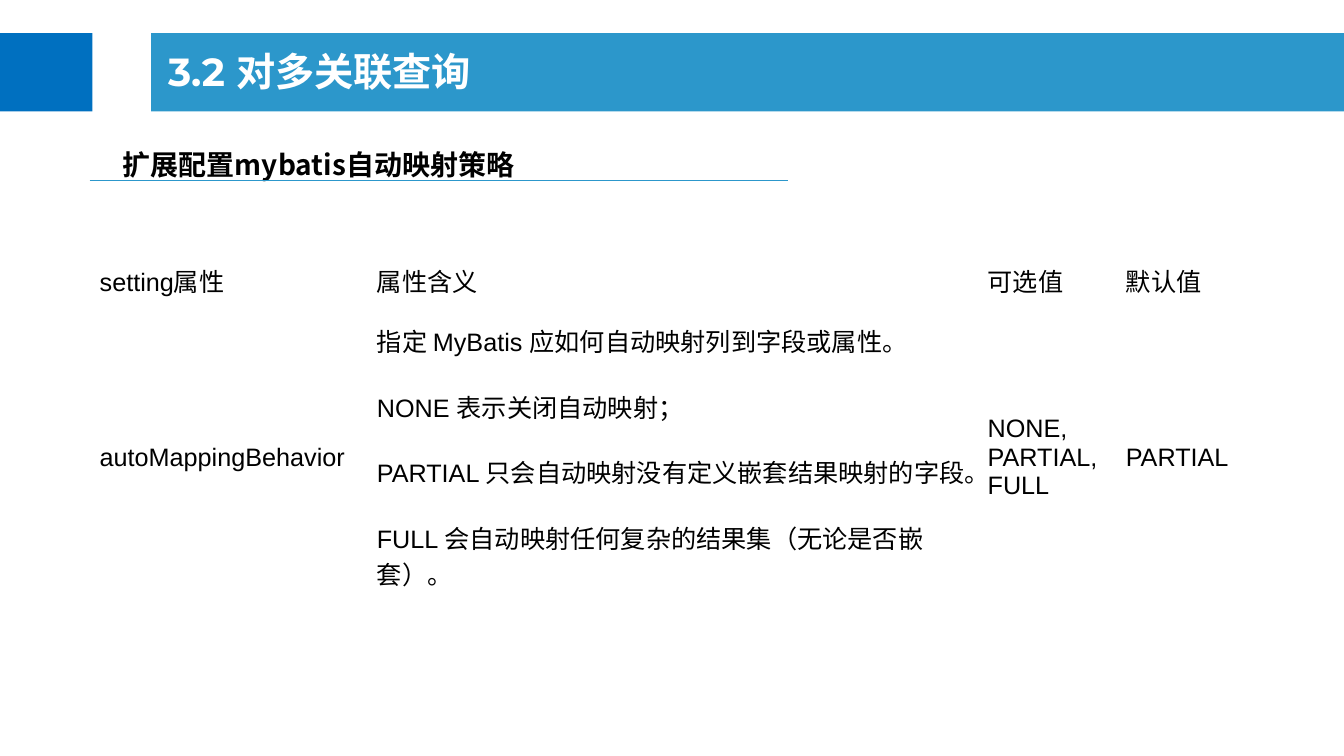
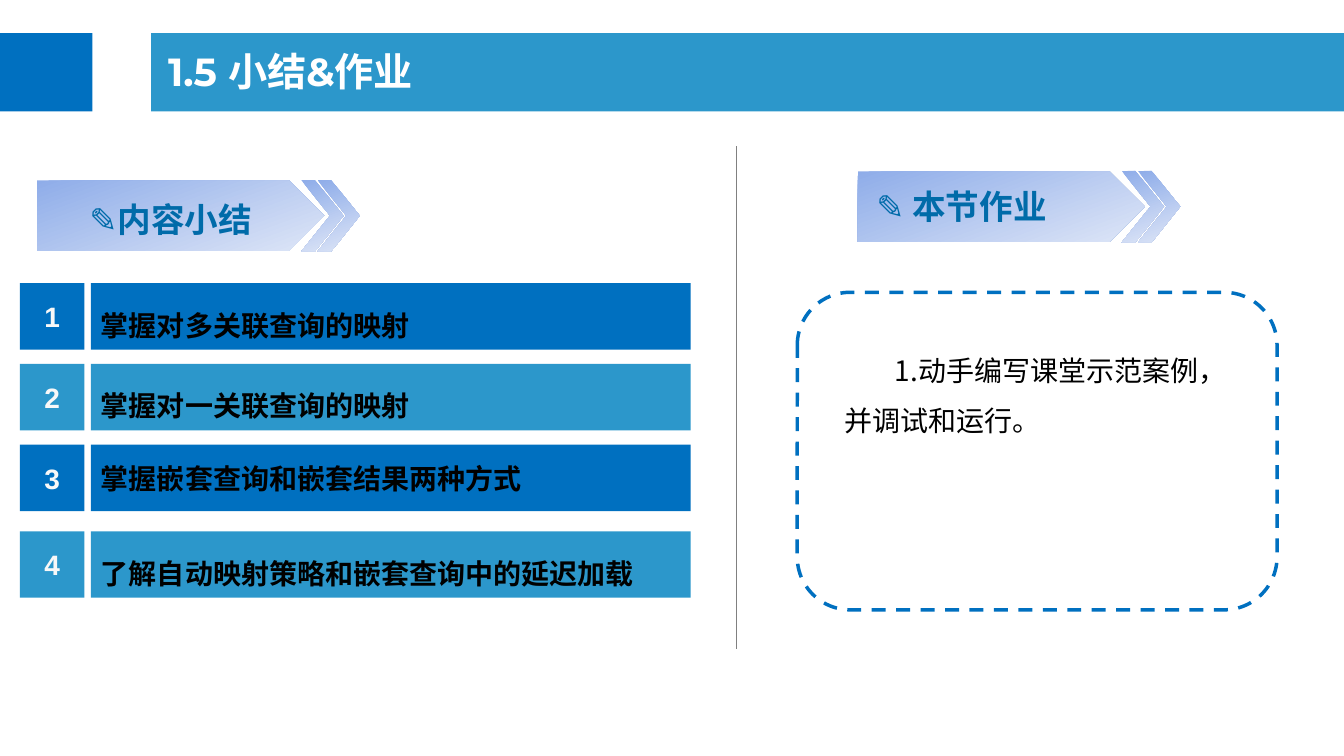
from dataclasses import dataclass

from lxml.etree import SubElement
from pptx import Presentation
from pptx.dml.color import RGBColor
from pptx.enum.dml import MSO_LINE
from pptx.enum.shapes import MSO_CONNECTOR, MSO_SHAPE
from pptx.enum.text import MSO_ANCHOR, PP_ALIGN
from pptx.oxml.ns import qn
from pptx.util import Pt


@dataclass(frozen=True)
class Theme:
    band: str = "2C97CB"
    accent: str = "0070C0"
    black: str = "000000"
    white: str = "FFFFFF"
    number: str = "F8F8F8"
    label: str = "006BA9"
    divider: str = "808080"
    tab_dark: str = "8FADE9"
    tab_light: str = "DEE6F7"
    latin: str = "Arial"
    title_font: str = "Montserrat"
    chinese: str = "Noto Sans CJK SC"
    title_size: float = 28
    label_size: float = 24
    body_size: float = 20
    table_size: float = 18


@dataclass(frozen=True)
class Box:
    left: float
    top: float
    width: float
    height: float

    def inner(self, left, top, width, height):
        """Return a box whose corner is given relative to this one."""
        return Box(self.left + left, self.top + top, width, height)

    def lengths(self):
        return [Pt(value) for value in (self.left, self.top, self.width, self.height)]


THEME = Theme()
SLIDE = Box(0, 0, 960, 540)


def colour(value):
    return RGBColor.from_string(value)


def write(frame, lines, size, font=THEME.chinese, ink=THEME.black, bold=False,
          align=PP_ALIGN.LEFT, spacing=1.0, gap=0):
    """Fill a text frame with one formatted paragraph per line."""
    frame.text = "\n".join(lines)
    frame.word_wrap = True
    for index, para in enumerate(frame.paragraphs):
        para.alignment = align
        para.line_spacing = spacing
        para.space_before = Pt(gap if index else 0)
        for span in para.runs:
            span.font.size = Pt(size)
            span.font.bold = bold
            span.font.color.rgb = colour(ink)
            span.font.name = font
            SubElement(span._r.get_or_add_rPr(), qn("a:ea"), typeface=THEME.chinese)


def add_text(page, box, text, size, anchor=MSO_ANCHOR.TOP, **style):
    frame = page.shapes.add_textbox(*box.lengths()).text_frame
    write(frame, [text], size, **style)
    frame.vertical_anchor = anchor
    return frame


def add_block(page, box, fill=None, kind=MSO_SHAPE.RECTANGLE):
    block = page.shapes.add_shape(kind, *box.lengths())
    block.shadow.inherit = False
    block.line.fill.background()
    if fill:
        block.fill.solid()
        block.fill.fore_color.rgb = colour(fill)
    else:
        block.fill.background()
    return block


def add_rule(page, box, ink):
    """Draw a thin line between opposite corners of the box."""
    ends = (box.left, box.top, box.left + box.width, box.top + box.height)
    rule = page.shapes.add_connector(MSO_CONNECTOR.STRAIGHT, *[Pt(end) for end in ends])
    rule.line.color.rgb = colour(ink)
    rule.line.width = Pt(0.5)
    SubElement(rule.element.spPr, qn("a:effectLst"))


def add_page(deck, title):
    """Add a blank slide with the title band."""
    page = deck.slides.add_slide(deck.slide_layouts[6])
    band = Box(108, 23.6, SLIDE.width - 108, 56)
    add_block(page, band, THEME.band)
    add_block(page, Box(0, band.top, 66, band.height), THEME.accent)
    add_text(page, band.inner(5, 4.5, 828, 49.7), title, THEME.title_size,
             MSO_ANCHOR.MIDDLE, font=THEME.title_font, ink=THEME.white,
             bold=True, spacing=0.9)
    return page


def add_heading(page, box, text):
    add_text(page, box.inner(16.6, 0, 428, 44), text, THEME.body_size,
             bold=True, spacing=1.5)
    add_rule(page, box.inner(0, box.height, box.width, 0), THEME.band)


def add_settings_table(page, box, rows, column_widths, row_heights):
    table = page.shapes.add_table(len(rows), len(column_widths), *box.lengths()).table
    table.first_row = False
    table.horz_banding = False
    for column, width in zip(table.columns, column_widths):
        column.width = Pt(width)
    for row, height, entries in zip(table.rows, row_heights, rows):
        row.height = Pt(height)
        for cell, lines in zip(row.cells, entries):
            cell.fill.background()
            cell.vertical_anchor = MSO_ANCHOR.MIDDLE
            gap = 20.7 if len(lines) > 2 else 0
            write(cell.text_frame, lines, THEME.table_size, THEME.latin, gap=gap)


def add_arrow_tab(page, box, text, label):
    """Draw a pentagon followed by two chevrons, with a label over them."""
    parts = [(MSO_SHAPE.PENTAGON, box.inner(0, 0, 205, 50.4), 0.5)]
    parts += [(MSO_SHAPE.CHEVRON, box.inner(left, -0.3, 30.2, 51), 0.68)
              for left in (188.6, 200.2)]
    for kind, place, point in parts:
        arrow = add_block(page, place, kind=kind)
        arrow.adjustments[0] = point
        arrow.fill.gradient()
        arrow.fill.gradient_angle = 290
        for stop, ink in zip(arrow.fill.gradient_stops, (THEME.tab_dark, THEME.tab_light)):
            stop.color.rgb = colour(ink)
    add_text(page, label, text, THEME.label_size, ink=THEME.label, bold=True,
             align=PP_ALIGN.CENTER)


def add_summary_row(page, box, number, text, fill, spacing):
    number_box = box.inner(0, 0, 46, box.height)
    text_box = box.inner(50.8, 0, box.width - 50.8, box.height)
    number_block = add_block(page, number_box, fill)
    write(number_block.text_frame, [str(number)], THEME.body_size, THEME.latin,
          THEME.number, True, PP_ALIGN.CENTER)
    text_block = add_block(page, text_box, fill)
    write(text_block.text_frame, [text], THEME.body_size, bold=True, spacing=spacing)
    for block in (number_block, text_block):
        block.text_frame.vertical_anchor = MSO_ANCHOR.MIDDLE


def add_homework(page, box, text):
    frame_shape = add_block(page, box, kind=MSO_SHAPE.ROUNDED_RECTANGLE)
    frame_shape.line.color.rgb = colour(THEME.accent)
    frame_shape.line.width = Pt(2.5)
    frame_shape.line.dash_style = MSO_LINE.DASH
    frame = add_text(page, box.inner(26.6, 28, 291.6, 80), text, THEME.body_size,
                     spacing=1.5)
    frame.paragraphs[0]._p.get_or_add_pPr().set("indent", str(Pt(36)))


def add_mapping_page(deck):
    page = add_page(deck, "3.2 对多关联查询")
    add_heading(page, Box(64, 90, 499, 38.9), "扩展配置mybatis自动映射策略")
    rows = [
        [["setting属性"], ["属性含义"], ["可选值"], ["默认值"]],
        [
            ["autoMappingBehavior"],
            [
                "指定 MyBatis 应如何自动映射列到字段或属性。",
                "NONE 表示关闭自动映射；",
                "PARTIAL 只会自动映射没有定义嵌套结果映射的字段。",
                "FULL 会自动映射任何复杂的结果集（无论是否嵌套）。",
            ],
            ["NONE, PARTIAL,", "FULL"],
            ["PARTIAL"],
        ],
    ]
    add_settings_table(page, Box(64, 183, 829.5, 252.7), rows,
                       (198, 436.3, 98.7, 96.5), (34.6, 218.1))


def add_summary_page(deck):
    page = add_page(deck, "1.5 小结&作业")
    summary_tab = Box(26.6, 128.9, 231.6, 51)
    add_arrow_tab(page, summary_tab, "✎内容小结", summary_tab.inner(17.4, 10, 156, 36))
    goals = [
        (202.3, "掌握对多关联查询的映射", 1.5),
        (260, "掌握对一关联查询的映射", 1.5),
        (317.6, "掌握嵌套查询和嵌套结果两种方式", 1.0),
        (379.5, "了解自动映射策略和嵌套查询中的延迟加载", 1.5),
    ]
    for index, (top, text, spacing) in enumerate(goals):
        fill = THEME.band if index % 2 else THEME.accent
        add_summary_row(page, Box(14.2, top, 479.2, 47.5), index + 1, text, fill, spacing)
    add_rule(page, Box(525.9, 104.4, 0, 359.3), THEME.divider)
    homework_tab = Box(612.7, 122.4, 231.6, 51)
    add_arrow_tab(page, homework_tab, "✎ 本节作业", homework_tab.inner(-1.4, 7.2, 151, 36))
    add_homework(page, Box(569.5, 208.8, 342.7, 226.8),
                 "1.动手编写课堂示范案例，并调试和运行。")


def main():
    deck = Presentation()
    deck.slide_width, deck.slide_height = Pt(SLIDE.width), Pt(SLIDE.height)
    add_mapping_page(deck)
    add_summary_page(deck)
    deck.save("out.pptx")


if __name__ == "__main__":
    main()
